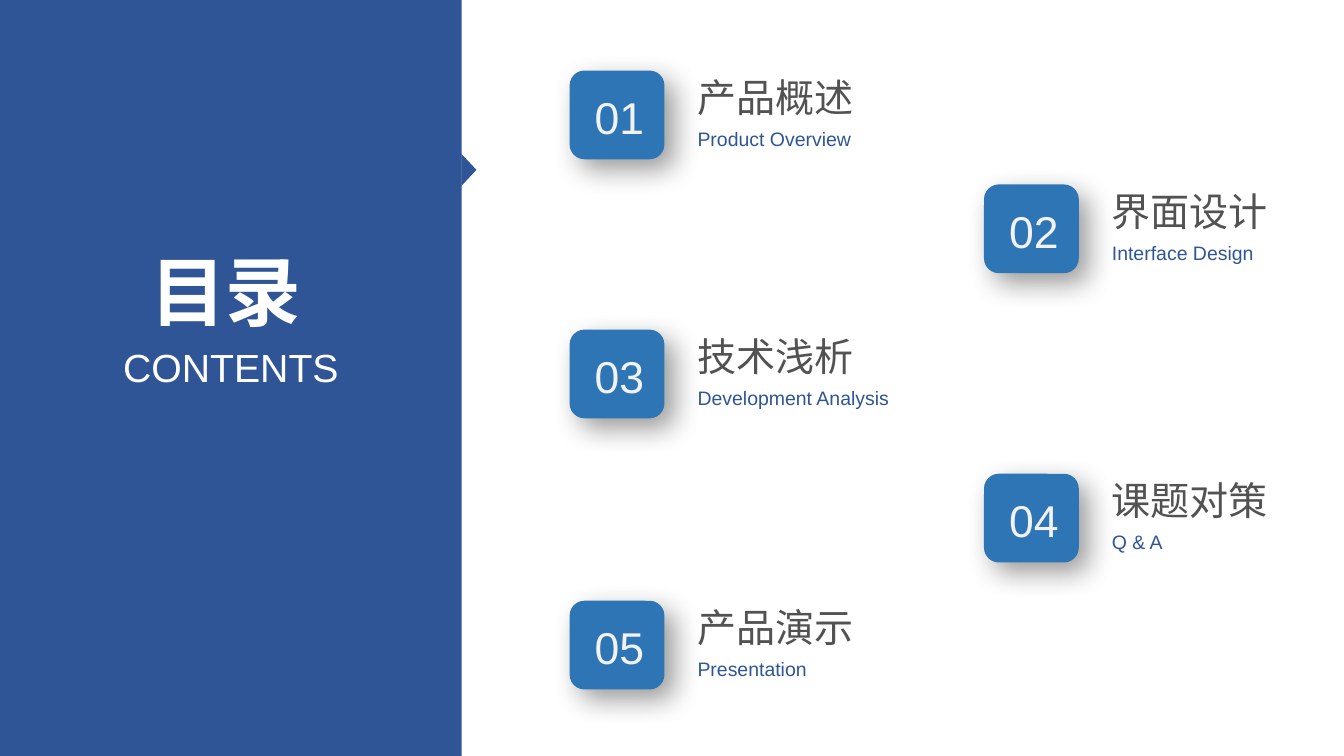
from dataclasses import dataclass

from lxml.etree import SubElement
from pptx import Presentation
from pptx.dml.color import RGBColor
from pptx.enum.shapes import MSO_SHAPE
from pptx.enum.text import MSO_ANCHOR, PP_ALIGN
from pptx.oxml.ns import qn
from pptx.shapes.autoshape import Shape
from pptx.slide import Slide
from pptx.util import Inches, Pt

NAVY = RGBColor(0x2F, 0x55, 0x97)
BLUE = RGBColor(0x2E, 0x75, 0xB6)
WHITE = RGBColor(0xFF, 0xFF, 0xFF)
PALE = RGBColor(0xF2, 0xF2, 0xF2)
GREY = RGBColor(0x52, 0x52, 0x52)

LATIN_FONT = "Arial"
CHINESE_FONT = "Noto Sans CJK SC"
COLUMNS = (5.65, 9.76)


@dataclass(frozen=True)
class Entry:
    top: float
    heading: str
    caption: str


@dataclass(frozen=True)
class TextStyle:
    size: float
    color: RGBColor
    font: str = LATIN_FONT
    bold: bool = False
    alignment: PP_ALIGN = PP_ALIGN.LEFT


TITLE = TextStyle(54, WHITE, CHINESE_FONT, True, PP_ALIGN.CENTER)
SUBTITLE = TextStyle(28, WHITE, alignment=PP_ALIGN.CENTER)
NUMBER = TextStyle(31.8, PALE)
HEADING = TextStyle(27.9, GREY)
CAPTION = TextStyle(13.9, NAVY)

ENTRIES = (
    Entry(0.7, "产品概述", "Product Overview"),
    Entry(1.83, "界面设计", "Interface Design"),
    Entry(3.27, "技术浅析", "Development Analysis"),
    Entry(4.7, "课题对策", "Q & A"),
    Entry(5.96, "产品演示", "Presentation"),
)


def write_text(shape: Shape, text: str, style: TextStyle) -> None:
    frame = shape.text_frame
    frame.word_wrap = True
    frame.vertical_anchor = MSO_ANCHOR.TOP
    paragraph = frame.paragraphs[0]
    paragraph.alignment = style.alignment
    run = paragraph.add_run()
    run.text = text
    run.font.size = Pt(style.size)
    run.font.bold = style.bold
    run.font.color.rgb = style.color
    run.font.name = style.font
    SubElement(run.font._element, qn("a:ea"), typeface=CHINESE_FONT)


def add_label(slide: Slide, left: float, top: float, width: float, height: float,
              text: str, style: TextStyle) -> None:
    box = slide.shapes.add_textbox(Inches(left), Inches(top), Inches(width), Inches(height))
    write_text(box, text, style)


def add_filled_shape(slide: Slide, kind: MSO_SHAPE, left: float, top: float,
                     width: float, height: float, color: RGBColor) -> Shape:
    shape = slide.shapes.add_shape(kind, Inches(left), Inches(top), Inches(width), Inches(height))
    shape.shadow.inherit = False
    shape.fill.solid()
    shape.fill.fore_color.rgb = color
    shape.line.fill.background()
    return shape


def add_soft_shadow(shape: Shape) -> None:
    """Cast a blurred 40% black shadow to the lower right."""
    effects = shape.element.spPr.find(qn("a:effectLst"))
    shadow = SubElement(effects, qn("a:outerShdw"), blurRad=str(Pt(20)), dist=str(Pt(10)),
                        dir="2700000", algn="tl", rotWithShape="0")
    color = SubElement(shadow, qn("a:srgbClr"), val="000000")
    SubElement(color, qn("a:alpha"), val="40000")


def add_side_panel(slide: Slide) -> None:
    add_filled_shape(slide, MSO_SHAPE.RECTANGLE, 0, 0, 4.58, 7.5, NAVY)
    pointer = add_filled_shape(slide, MSO_SHAPE.ISOSCELES_TRIANGLE, 4.49, 1.61, 0.32, 0.15, NAVY)
    pointer.rotation = 90
    add_label(slide, 1.07, 3.36, 2.44, 0.57, "CONTENTS", SUBTITLE)

    title = slide.shapes.title
    title.left, title.top = Inches(1.02), Inches(2.38)
    title.width, title.height = Inches(2.44), Inches(1.01)
    write_text(title, "目录", TITLE)
    # The panel would cover the title unless the title comes later in the stack.
    title.element.getparent().append(title.element)


def add_entry(slide: Slide, number: int, entry: Entry) -> None:
    left = COLUMNS[(number - 1) % len(COLUMNS)]
    top = entry.top
    tile = add_filled_shape(slide, MSO_SHAPE.ROUNDED_RECTANGLE, left, top, 0.94, 0.88, BLUE)
    add_soft_shadow(tile)
    add_label(slide, left + 0.15, top + 0.14, 0.83, 0.7, f"{number:02}", NUMBER)
    add_label(slide, left + 1.17, top + 0.51, 2.2, 0.35, entry.caption, CAPTION)
    add_label(slide, left + 1.17, top - 0.02, 2.2, 0.6, entry.heading, HEADING)


def main() -> None:
    presentation = Presentation()
    presentation.slide_width = Inches(13.33)
    presentation.slide_height = Inches(7.5)
    slide = presentation.slides.add_slide(presentation.slide_layouts.get_by_name("Title Only"))
    add_side_panel(slide)
    for number, entry in enumerate(ENTRIES, start=1):
        add_entry(slide, number, entry)
    presentation.save("out.pptx")


if __name__ == "__main__":
    main()
